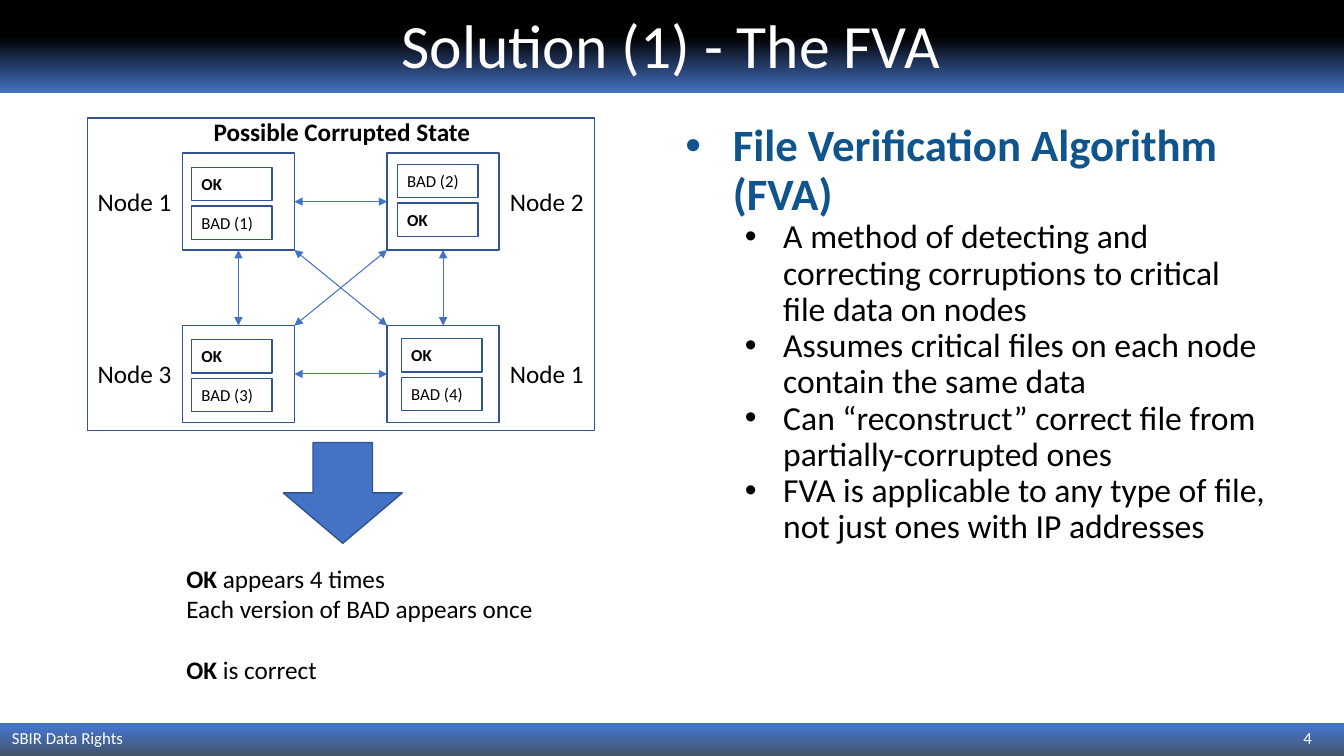
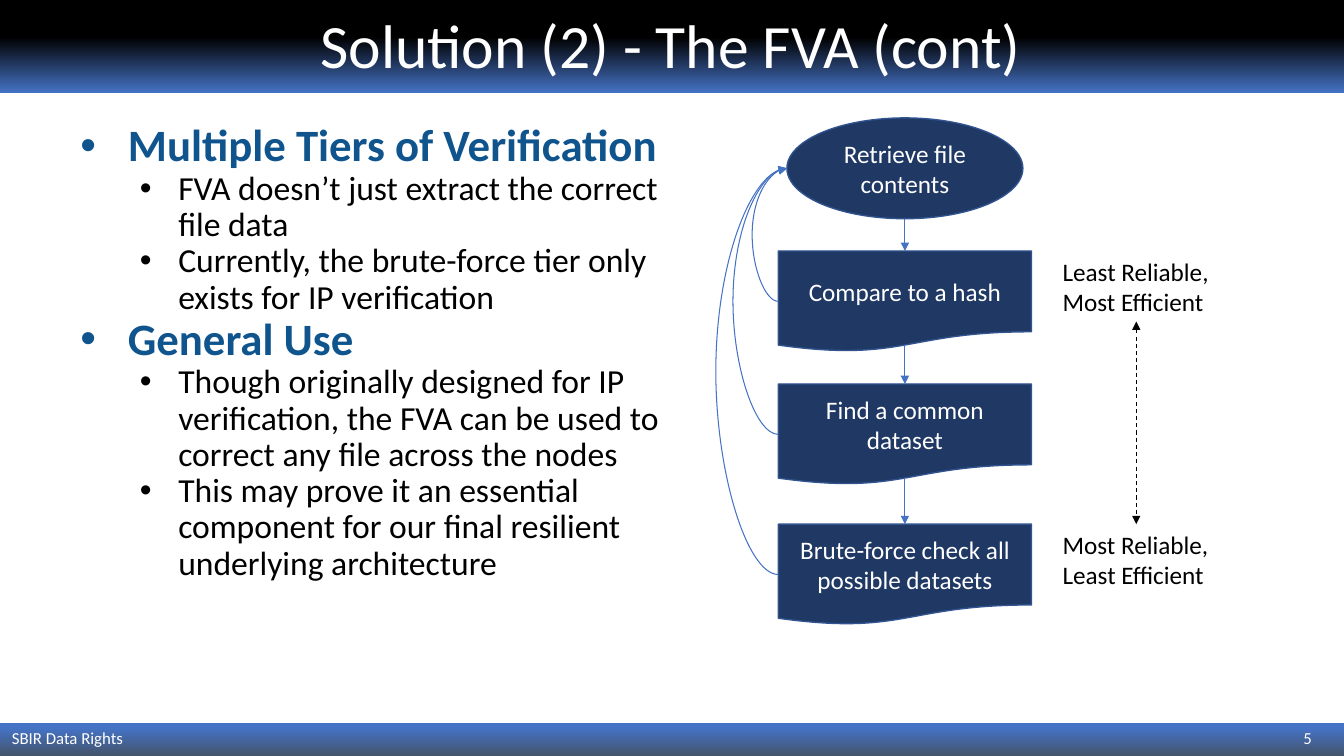
from lxml import etree
from pptx import Presentation
from pptx.dml.color import RGBColor
from pptx.enum.dml import MSO_LINE
from pptx.enum.shapes import MSO_CONNECTOR as CONN, MSO_SHAPE as SHAPE
from pptx.enum.text import MSO_ANCHOR as ANCHOR, PP_ALIGN as ALIGN
from pptx.oxml.ns import qn
from pptx.util import Inches, Pt

# Shared style
FONT = "Calibri"
WHITE, BLACK = "FFFFFF", "000000"
BLUE, EDGE, NAVY, HEADING = "4472C4", "31538F", "1F3864", "0F548D"
WIDTH, HEIGHT = 13.33, 7.5
TITLE_BAND = [(0, BLUE), (60, BLACK), (100, BLACK)]
FOOTER_BAND = [(0, "44546A"), (83, BLUE), (100, BLUE)]
FOOTER = "SBIR Data Rights"

# Content: bullets are (level, text)
FVA_TITLE = "Solution (1) - The FVA"
FVA_BULLETS = [
    (0, "File Verification Algorithm (FVA)"),
    (1, "A method of detecting and correcting corruptions to critical file data on nodes"),
    (1, "Assumes critical files on each node contain the same data"),
    (1, "Can “reconstruct” correct file from partially-corrupted ones"),
    (1, "FVA is applicable to any type of file, not just ones with IP addresses"),
]
STATE_TITLE = "Possible Corrupted State"
# label, column, row, files, offset of the first file inside the node
NODES = [
    ("Node 1", 0, 0, ("OK", "BAD (1)"), (0.09, 0.14)),
    ("Node 2", 1, 0, ("BAD (2)", "OK"), (0.1, 0.11)),
    ("Node 3", 0, 1, ("OK", "BAD (3)"), (0.09, 0.14)),
    ("Node 1", 1, 1, ("OK", "BAD (4)"), (0.14, 0.13)),
]
# paragraphs made of (text, bold) runs
VERDICT = [
    [("OK", True), (" appears 4 times", False)],
    [("Each version of BAD appears once", False)],
    [("OK", True), (" is correct", False)],
]

TIERS_TITLE = "Solution (2) - The FVA (cont)"
TIERS_BULLETS = [
    (0, "Multiple Tiers of Verification"),
    (1, "FVA doesn’t just extract the correct file data"),
    (1, "Currently, the brute-force tier only exists for IP verification"),
    (0, "General Use"),
    (1, "Though originally designed for IP verification, the FVA can be used to "
        "correct any file across the nodes"),
    (1, "This may prove it an essential component for our final resilient "
        "underlying architecture"),
]
START = "Retrieve file contents"
# text, top, furthest left point of the return curve's handle
TIERS = [
    ("Compare to a hash", 2.49, 7.46),
    ("Find a common dataset", 3.81, 7.27),
    ("Brute-force check all possible datasets", 5.2, 7.1),
]
SCALE = [
    (["Least Reliable,", "Most Efficient"], 2.49),
    (["Most Reliable,", "Least Efficient"], 5.2),
]


def rgb(hex_color):
    return RGBColor.from_string(hex_color)


def write(tf, paras, size=18, color=BLACK, bold=False, align=ALIGN.LEFT,
          anchor=ANCHOR.TOP, wrap=True, spacing=None):
    """Fill a text frame; a paragraph is a string or a list of (text, bold)."""
    tf.word_wrap = wrap
    tf.vertical_anchor = anchor
    for i, para in enumerate([paras] if isinstance(paras, str) else paras):
        p = tf.paragraphs[0] if i == 0 else tf.add_paragraph()
        p.alignment = align
        p.line_spacing = spacing
        for text, strong in [(para, bold)] if isinstance(para, str) else para:
            r = p.add_run()
            r.text = text
            r.font.name, r.font.size, r.font.bold = FONT, Pt(size), strong
            r.font.color.rgb = rgb(color)
    return tf


def add_text(slide, at, paras, **fmt):
    box = slide.shapes.add_textbox(*map(Inches, at))
    return write(box.text_frame, paras, **fmt)


def add_box(slide, kind, at, fill=None, line=EDGE, text=None, **fmt):
    sp = slide.shapes.add_shape(kind, *map(Inches, at))
    sp.shadow.inherit = False
    if fill:
        sp.fill.solid()
        sp.fill.fore_color.rgb = rgb(fill)
    else:
        sp.fill.background()
    if line:
        sp.line.color.rgb = rgb(line)
        sp.line.width = Pt(1)
    else:
        sp.line.fill.background()
    if text:
        write(sp.text_frame, text, anchor=ANCHOR.MIDDLE, **fmt)
    return sp


def add_band(slide, top, height, stops):
    sp = add_box(slide, SHAPE.RECTANGLE, (0, top, WIDTH, height), line=None)
    sp.fill.gradient()
    sp.fill.gradient_angle = 90
    stop_list = sp._element.spPr.find(qn("a:gradFill")).find(qn("a:gsLst"))
    for gs in list(stop_list):
        stop_list.remove(gs)
    for pos, color in stops:
        gs = etree.SubElement(stop_list, qn("a:gs"), pos=str(pos * 1000))
        etree.SubElement(gs, qn("a:srgbClr"), val=color)


def add_link(slide, start, end, color=BLUE, both=False, dash=False, bend=None):
    """Arrow between ends given as (x, y) or (shape, side)."""
    joined = [hasattr(e[0], "shape_id") for e in (start, end)]
    points = [(0, 0) if j else e for j, e in zip(joined, (start, end))]
    (x1, y1), (x2, y2) = points
    c = slide.shapes.add_connector(CONN.STRAIGHT if bend is None else CONN.CURVE,
                                   *map(Inches, (x1, y1, x2, y2)))
    if joined[0]:
        c.begin_connect(*start)
    if joined[1]:
        c.end_connect(*end)
    c.line.color.rgb = rgb(color)
    c.line.width = Pt(0.75)
    if dash:
        c.line.dash_style = MSO_LINE.DASH
    spPr = c._element.spPr
    ln = spPr.find(qn("a:ln"))
    for tag in ("a:headEnd", "a:tailEnd") if both else ("a:tailEnd",):
        etree.SubElement(ln, qn(tag), type="triangle")
    etree.SubElement(spPr, qn("a:effectLst"))
    if bend is not None:
        geom = spPr.find(qn("a:prstGeom"))
        adjust = geom.find(qn("a:avLst"))
        if adjust is None:
            adjust = etree.SubElement(geom, qn("a:avLst"))
        share = round((bend - x1) / (x2 - x1) * 100000)
        etree.SubElement(adjust, qn("a:gd"), name="adj1", fmla=f"val {share}")


def add_bullets(slide, left, bullets):
    tf = add_text(slide, (left, 1.17, 6, 5.62), [[] for _ in bullets], spacing=0.9)
    styles = [(32, HEADING, True, 0.5, -0.47), (24, BLACK, False, 1, -0.38)]
    tf.paragraphs[0].space_before = Pt(10)
    for p, (level, text) in zip(tf.paragraphs, bullets):
        size, color, bold, margin, indent = styles[level]
        r = p.add_run()
        r.text = text
        r.font.name, r.font.size, r.font.bold = FONT, Pt(size), bold
        r.font.color.rgb = rgb(color)
        p.level = level
        pPr = p._p.get_or_add_pPr()
        pPr.set("marL", str(Inches(margin)))
        pPr.set("indent", str(Inches(indent)))
        bullet_color = etree.SubElement(pPr, qn("a:buClr"))
        etree.SubElement(bullet_color, qn("a:srgbClr"), val=color)
        etree.SubElement(pPr, qn("a:buFont"), typeface="Arial")
        etree.SubElement(pPr, qn("a:buChar"), char="•")


def add_slide(prs, title, number):
    slide = prs.slides.add_slide(prs.slide_layouts[6])
    add_band(slide, 7.17, 0.33, FOOTER_BAND)
    add_band(slide, 0, 0.92, TITLE_BAND)
    small = dict(size=12, color=WHITE, anchor=ANCHOR.MIDDLE)
    add_text(slide, (0.02, 7.17, 8.87, 0.29), FOOTER, **small)
    add_text(slide, (12.02, 7.17, 1.09, 0.29), str(number), align=ALIGN.RIGHT, **small)
    add_text(slide, (0, 0.11, 13.31, 0.74), title, size=44, color=WHITE,
             align=ALIGN.CENTER, anchor=ANCHOR.MIDDLE, spacing=0.9)
    return slide


def build_fva(prs):
    slide = add_slide(prs, FVA_TITLE, 4)
    add_bullets(slide, 6.67, FVA_BULLETS)

    # Nodes with their two files and label
    xs, ys, w, h = (1.81, 3.84), (1.52, 3.23), 1.11, 0.96
    label_xs = (0.87, 4.96)
    grid = {}
    for label, col, row, files, (dx, dy) in NODES:
        x, y = xs[col], ys[row]
        grid[col, row] = add_box(slide, SHAPE.RECTANGLE, (x, y, w, h), WHITE)
        for i, name in enumerate(files):
            add_box(slide, SHAPE.RECTANGLE, (x + dx, y + dy + i * 0.385, 0.8, 0.33),
                    WHITE, text=name, size=12, bold=name == "OK")
        add_text(slide, (label_xs[col], y + 0.28, 0.94, 0.4), label, wrap=False)

    # Links along the sides and across the middle
    for i in (0, 1):
        add_link(slide, (grid[0, i], 3), (grid[1, i], 1), both=True)
        add_link(slide, (grid[i, 0], 2), (grid[i, 1], 0), both=True)
    left, right, top, bottom = xs[0] + w, xs[1], ys[0] + h, ys[1]
    add_link(slide, (left, top), (right, bottom), both=True)
    add_link(slide, (left, bottom), (right, top), both=True)

    # Frame, heading and conclusion
    add_box(slide, SHAPE.RECTANGLE, (0.87, 1.17, 5.03, 3.1))
    add_text(slide, (2.02, 1.1, 2.77, 0.4), STATE_TITLE, bold=True, wrap=False)
    add_box(slide, SHAPE.DOWN_ARROW, (2.81, 4.39, 1.18, 1), BLUE)
    verdict = add_text(slide, (1.75, 5.54, 3.68, 1.31), VERDICT)
    verdict.paragraphs[-1].space_before = Pt(22)


def build_tiers(prs):
    slide = add_slide(prs, TIERS_TITLE, 5)
    add_bullets(slide, 0.67, TIERS_BULLETS)

    # Flow of tiers, each with a curve back to the start
    x, w, h, wave_bottom = 7.72, 2.51, 1, 0.93
    start_y, start_w = 1.17, 2.34
    center = x + w / 2
    start_x = center - start_w / 2
    style = dict(color=WHITE, align=ALIGN.CENTER)
    add_box(slide, SHAPE.OVAL, (start_x, start_y, start_w, h), NAVY, text=START, **style)
    above = start_y + h
    for text, y, bend in TIERS:
        tier = add_box(slide, SHAPE.FLOWCHART_DOCUMENT, (x, y, w, h), NAVY,
                       text=text, **style)
        add_link(slide, (center, above), (tier, 0))
        add_link(slide, (x, y + h / 2), (start_x, start_y + h / 2), bend=bend)
        above = y + wave_bottom

    # Reliability scale
    for lines, y in SCALE:
        add_text(slide, (10.44, y, 1.67, 0.71), lines, wrap=False)
    add_link(slide, (11.27, 3.19), (11.27, 5.2), color=BLACK, both=True, dash=True)


def main():
    prs = Presentation()
    prs.slide_width, prs.slide_height = Inches(WIDTH), Inches(HEIGHT)
    build_fva(prs)
    build_tiers(prs)
    prs.save("out.pptx")


if __name__ == "__main__":
    main()
